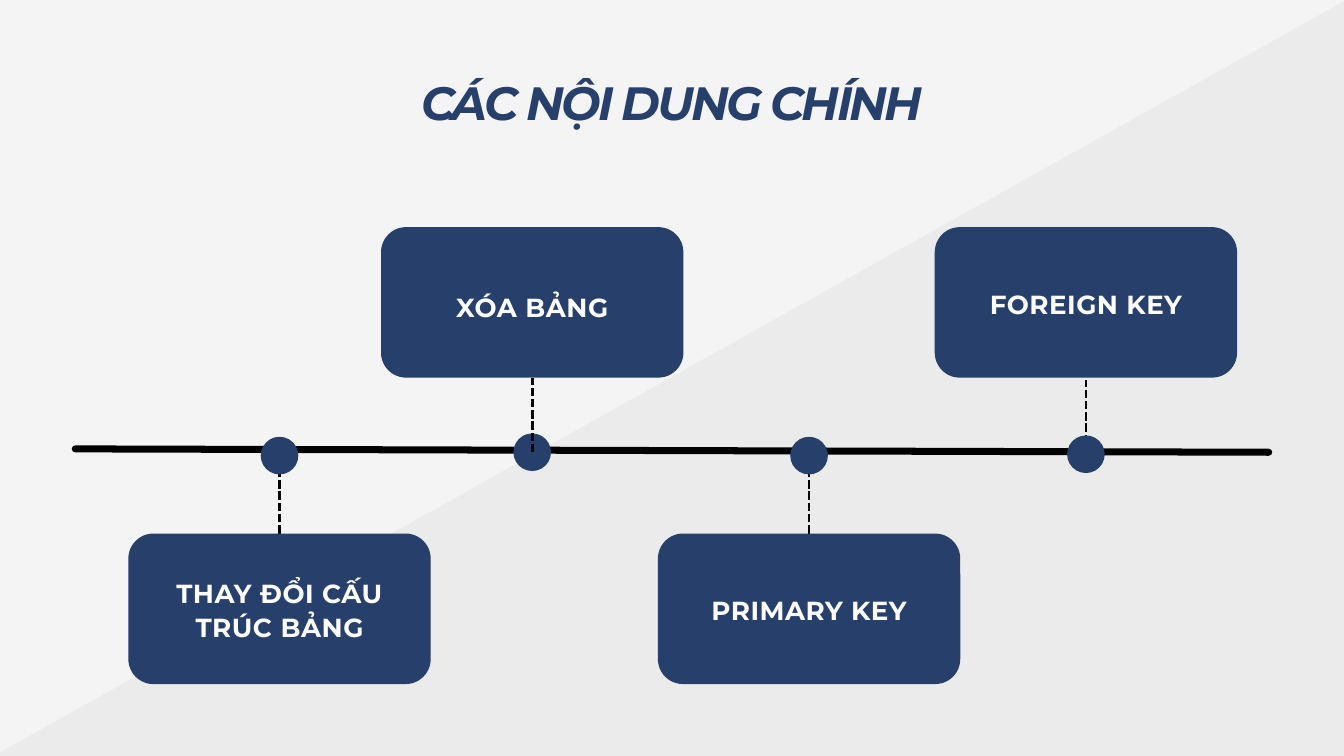
from dataclasses import dataclass

from lxml import etree
from pptx import Presentation
from pptx import util as u
from pptx.dml.color import RGBColor
from pptx.enum import dml, shapes, text
from pptx.oxml.ns import qn


@dataclass(frozen=True)
class Theme:
    background: str = "F4F4F4"
    shade: str = "545454"
    navy: str = "263F6B"
    line: str = "000000"
    white: str = "FFFFFF"
    font: str = "Montserrat"
    title_size: float = 50
    label_size: float = 28


@dataclass(frozen=True)
class Topic:
    label: str
    center_x: float
    dot_y: float
    label_top: float
    above: bool = False
    label_height: float = 0.48
    stem_in_front: bool = False


THEME = Theme()
CARD_WIDTH, CARD_HEIGHT = 4.5, 2.24
CARD_TOP_ABOVE, CARD_TOP_BELOW = 3.38, 7.94
DOT_SIZE, STEM_LENGTH, LABEL_WIDTH = 0.56, 1.11, 3.54

TOPICS = [
    Topic("THAY ĐỔI CẤU TRÚC BẢNG", 4.16, 6.78, 8.55, label_height=0.98),
    Topic("XÓA BẢNG", 7.92, 6.73, 4.29, above=True, stem_in_front=True),
    Topic("PRIMARY KEY", 12.04, 6.78, 8.8),
    Topic("FOREIGN KEY", 16.16, 6.76, 4.25, above=True),
]


def inches(*lengths):
    return [u.Inches(length) for length in lengths]


def apply_format(target, values):
    for name, value in values.items():
        setattr(target, name, value)


def add_filled(slide, kind, left, top, width, height, color):
    shape = slide.shapes.add_shape(kind, *inches(left, top, width, height))
    shape.shadow.inherit = False
    shape.fill.solid()
    shape.fill.fore_color.rgb = RGBColor.from_string(color)
    shape.line.fill.background()
    return shape


def add_line(slide, start, end, width, dash=None, cap="flat"):
    line = slide.shapes.add_connector(
        shapes.MSO_CONNECTOR.STRAIGHT, *inches(*start, *end))
    line.line.color.rgb = RGBColor.from_string(THEME.line)
    line.line.width = u.Pt(width)
    if dash:
        line.line.dash_style = dash
    line.line._get_or_add_ln().set("cap", cap)
    etree.SubElement(line._element.spPr, qn("a:effectLst"))


def write_text(shape, content, size, color, leading, tracking, italic=False):
    frame = shape.text_frame
    apply_format(frame, {
        "margin_left": 0, "margin_right": 0, "margin_top": 0, "margin_bottom": 0,
        "word_wrap": True, "auto_size": text.MSO_AUTO_SIZE.NONE,
        "vertical_anchor": text.MSO_ANCHOR.TOP,
    })
    paragraph = frame.paragraphs[0]
    apply_format(paragraph, {
        "alignment": text.PP_ALIGN.CENTER, "line_spacing": u.Pt(leading),
        "space_before": u.Pt(0),
    })
    run = paragraph.add_run()
    run.text = content
    apply_format(run.font, {
        "name": THEME.font, "size": u.Pt(size), "bold": True, "italic": italic})
    run.font.color.rgb = RGBColor.from_string(color)
    # Letter spacing is stored in hundredths of a point
    run._r.get_or_add_rPr().set("spc", str(round(tracking * 100)))


def add_shade(slide):
    shade = add_filled(slide, shapes.MSO_SHAPE.RECTANGLE,
                       -1.22, 4.76, 28.2, 10.48, THEME.shade)
    shade.rotation = 330.8
    color = shade._element.spPr.find(qn("a:solidFill"))[0]
    etree.SubElement(color, qn("a:alpha"), val="5000")


def set_title(slide, content):
    title = slide.shapes.title
    left, top, width, height = inches(2.33, 1.25, 15.33, 0.7)
    apply_format(title, {"left": left, "top": top, "width": width, "height": height})
    write_text(title, content, THEME.title_size, THEME.navy, 49, -2.9, italic=True)


def add_stem(slide, topic):
    if topic.above:
        start, end = topic.dot_y, topic.dot_y - STEM_LENGTH
    else:
        start, end = CARD_TOP_BELOW, CARD_TOP_BELOW - STEM_LENGTH
    add_line(slide, (topic.center_x, start), (topic.center_x, end),
             3, dml.MSO_LINE.SQUARE_DOT)


def add_topic(slide, topic):
    if not topic.stem_in_front:
        add_stem(slide, topic)
    add_filled(slide, shapes.MSO_SHAPE.OVAL, topic.center_x - DOT_SIZE / 2,
               topic.dot_y - DOT_SIZE / 2, DOT_SIZE, DOT_SIZE, THEME.navy)
    card_top = CARD_TOP_ABOVE if topic.above else CARD_TOP_BELOW
    add_filled(slide, shapes.MSO_SHAPE.ROUNDED_RECTANGLE,
               topic.center_x - CARD_WIDTH / 2, card_top,
               CARD_WIDTH, CARD_HEIGHT, THEME.navy)
    label = slide.shapes.add_textbox(*inches(
        topic.center_x - LABEL_WIDTH / 2, topic.label_top,
        LABEL_WIDTH, topic.label_height))
    write_text(label, topic.label, THEME.label_size, THEME.white, 36.4, 0.6)
    if topic.stem_in_front:
        add_stem(slide, topic)


def main():
    presentation = Presentation()
    presentation.slide_width, presentation.slide_height = inches(20, 11.25)
    slide = presentation.slides.add_slide(presentation.slide_layouts[5])

    # Background and title
    slide.background.fill.solid()
    slide.background.fill.fore_color.rgb = RGBColor.from_string(THEME.background)
    add_shade(slide)
    set_title(slide, "CÁC NỘI DUNG CHÍNH")

    # Timeline with its topics
    add_line(slide, (1.12, 6.68), (18.88, 6.73), 7.5, cap="rnd")
    for topic in TOPICS:
        add_topic(slide, topic)

    presentation.save("out.pptx")


if __name__ == "__main__":
    main()
